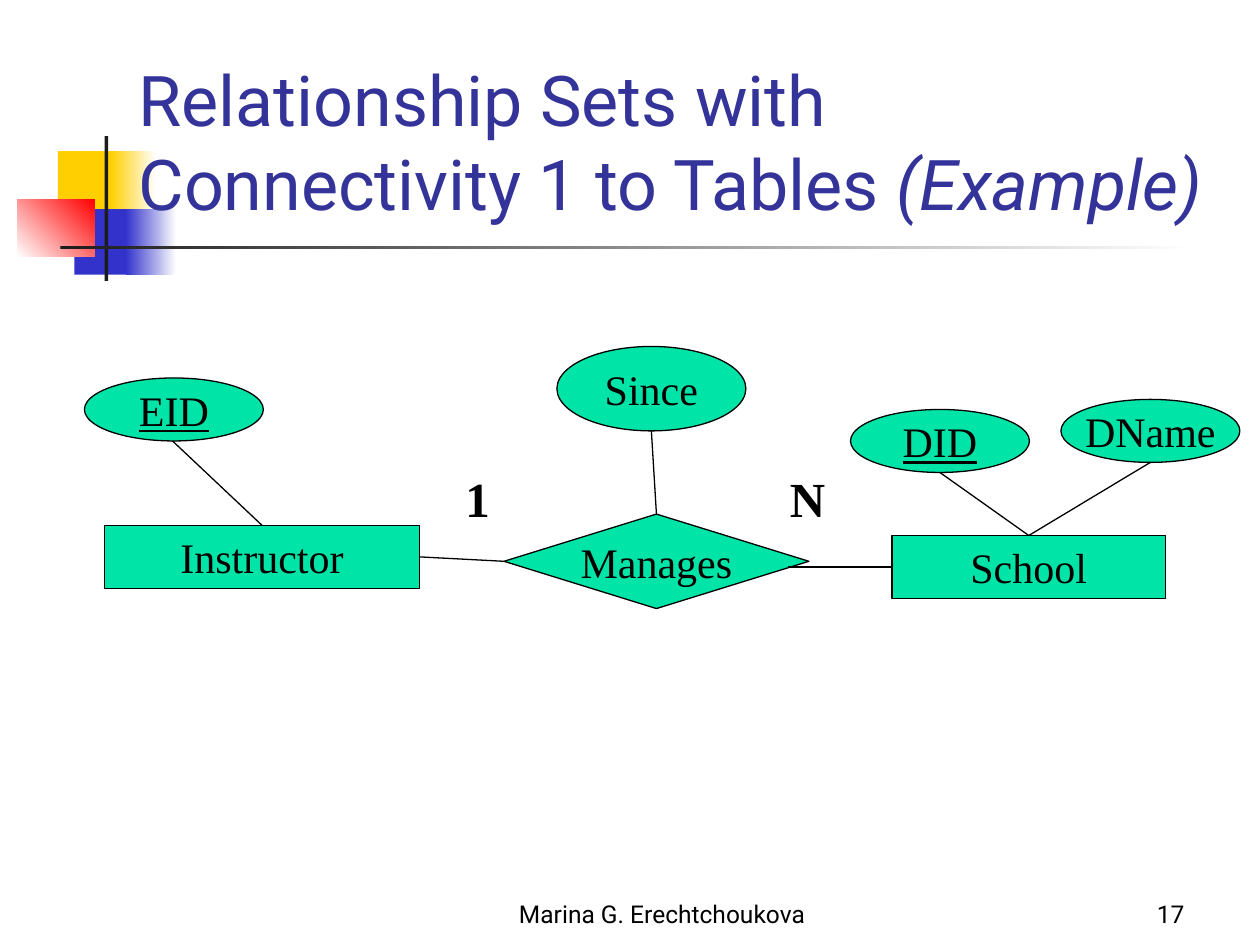
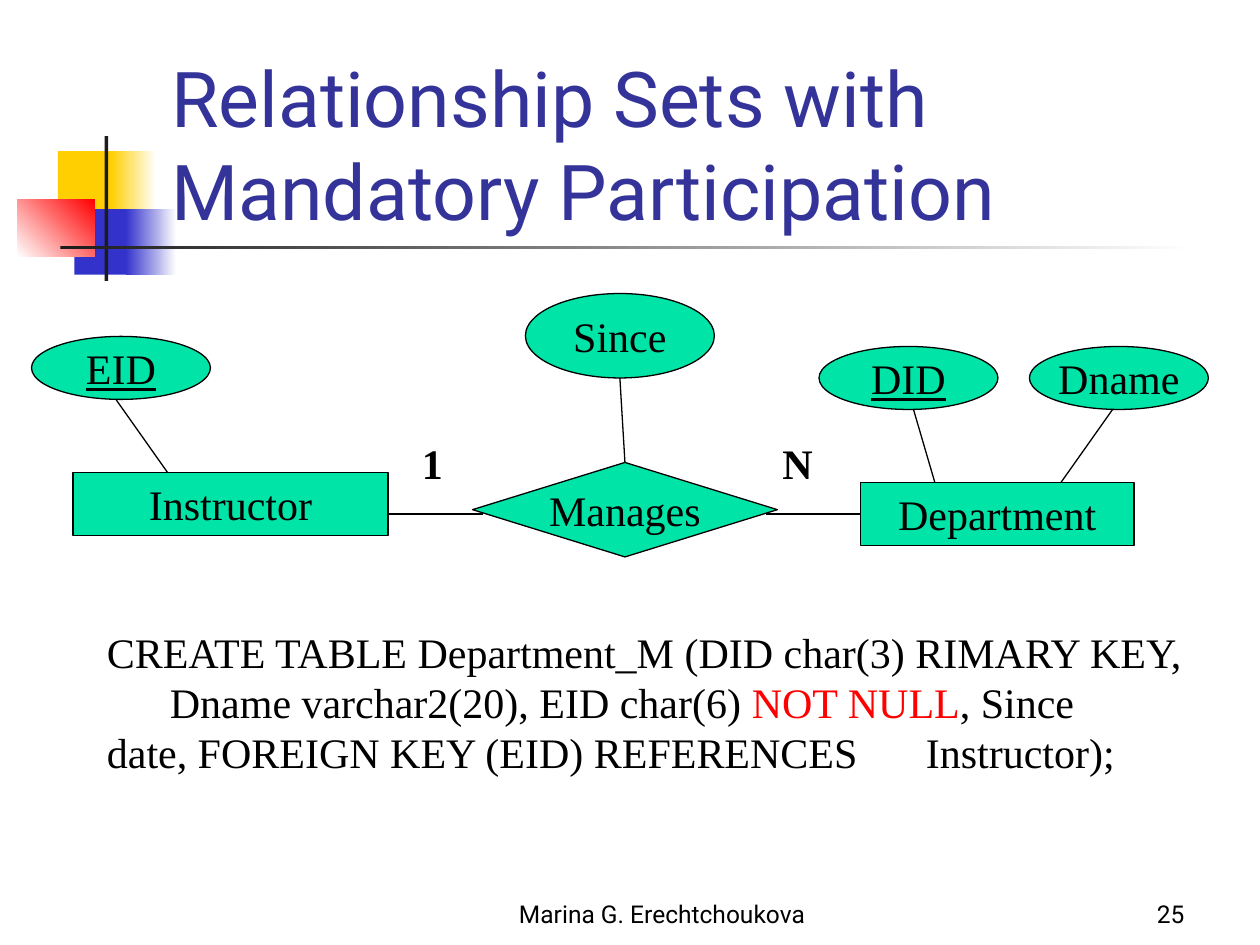
from lxml import etree
from pptx import Presentation
from pptx import util as u
from pptx.dml.color import RGBColor
from pptx.enum import shapes, text

WHITE = RGBColor(0xFF, 0xFF, 0xFF)
BLACK = RGBColor(0x00, 0x00, 0x00)
CHARCOAL = RGBColor(0x1C, 0x1C, 0x1C)
YELLOW = RGBColor(0xFF, 0xCF, 0x01)
BLUE = RGBColor(0x33, 0x33, 0xCC)
RED = RGBColor(0xFF, 0x00, 0x00)
TITLE_BLUE = RGBColor(0x33, 0x33, 0x99)
GREEN = RGBColor(0x00, 0xE4, 0xA8)
HEADING_FONT = "Roboto"
DIAGRAM_FONT = "Times New Roman"
EFFECT_LIST = "{http://schemas.openxmlformats.org/drawingml/2006/main}effectLst"

LEFT, CENTER, RIGHT = text.PP_ALIGN.LEFT, text.PP_ALIGN.CENTER, text.PP_ALIGN.RIGHT
TOP, MIDDLE, BOTTOM = text.MSO_ANCHOR.TOP, text.MSO_ANCHOR.MIDDLE, text.MSO_ANCHOR.BOTTOM
PRESET = shapes.MSO_SHAPE
ENTITY_HEIGHT = 0.5
NODE_KINDS = {
    "instructor": (PRESET.FLOWCHART_PROCESS, 2.5, ENTITY_HEIGHT),
    "unit": (PRESET.FLOWCHART_PROCESS, 2.17, ENTITY_HEIGHT),
    "relationship": (PRESET.FLOWCHART_DECISION, 2.42, 0.75),
    "since": (PRESET.FLOWCHART_CONNECTOR, 1.5, 0.67),
    "attribute": (PRESET.FLOWCHART_CONNECTOR, 1.42, 0.5),
    "key": (PRESET.FLOWCHART_CONNECTOR, 1.42, 0.5),
}
DECORATIONS = [
    ((0.46, 1.2, 0.48, 0.52), (YELLOW,), 0),
    ((0.88, 1.2, 0.36, 0.52), (YELLOW, WHITE), 0),
    ((0.59, 1.66, 0.46, 0.52), (BLUE,), 0),
    ((1, 1.66, 0.4, 0.52), (BLUE, WHITE), 0),
    ((0.14, 1.58, 0.61, 0.46), (WHITE, RED), 45),
    ((0.83, 1.08, 0.03, 1.15), (CHARCOAL,), 0),
    ((0.48, 1.95, 9, 0.03), (CHARCOAL, WHITE), 0),
]
SLIDES = [
    {
        "title": [("Relationship Sets with Connectivity 1 to Tables ", {}),
                  ("(Example)", {"italic": True})],
        "title_box": (1, 0.58, 8.75, 1.25),
        "title_size": 40,
        "number": "17",
        "nodes": [
            ("Instructor", "instructor", 0.83, 4.17),
            ("Manages", "relationship", 4, 4.08),
            ("School", "unit", 7.08, 4.25),
            ("Since", "since", 4.42, 2.75),
            ("EID", "key", 0.67, 3),
            ("DID", "key", 6.75, 3.25),
            ("DName", "attribute", 8.42, 3.17),
        ],
        "lines": [
            (("Instructor", 3), ("Manages", 1)),
            ((5.17, 3.42), ("Manages", 0)),
            (("School", 1), (6.25, 4.5)),
            ((1.37, 3.5), ("Instructor", 0)),
            ((7.46, 3.75), ("School", 0)),
            ((9.13, 3.67), ("School", 0)),
        ],
        "label_size": 28,
        "labels": [("1", (3.58, 3.67, 0.42, 0.57)), ("N", (6.17, 3.67, 0.42, 0.57))],
        "statement": [],
    },
    {
        "title": [("Relationship Sets with Mandatory Participation", {})],
        "title_box": (1.26, 0.67, 8.52, 1.25),
        "title_size": 44,
        "number": "25",
        "nodes": [
            ("Instructor", "instructor", 0.58, 3.75),
            ("Manages", "relationship", 3.75, 3.67),
            ("Department", "unit", 6.83, 3.83),
            ("Since", "since", 4.17, 2.33),
            ("EID", "key", 0.25, 2.67),
            ("Dname", "attribute", 8.17, 2.75),
            ("DID", "key", 6.5, 2.75),
        ],
        "lines": [
            ((4.92, 3), ("Manages", 0)),
            ((6.08, 4.08), ("Department", 1)),
            ((3.08, 4.08), (3.83, 4.08)),
            ((0.92, 3.17), (1.33, 3.75)),
            ((7.25, 3.25), (7.42, 3.83)),
            ((8.83, 3.25), (8.42, 3.83)),
        ],
        "label_size": 24,
        "labels": [("1", (3.25, 3.42, 0.33, 0.5)), ("N", (6.08, 3.42, 0.5, 0.5))],
        "statement": [
            ("CREATE TABLE Department_M (DID char(3) RIMARY KEY, \t"
             "Dname varchar2(20), EID char(6) ", {}),
            ("NOT NULL", {"color": RED}),
            (", Since \tdate, FOREIGN KEY (EID) REFERENCES \tInstructor);", {}),
        ],
    },
]


def write(shape, runs, font, size, align, anchor, color=BLACK, wrap=True):
    frame = shape.text_frame
    frame.word_wrap = wrap
    frame.auto_size = text.MSO_AUTO_SIZE.NONE
    frame.vertical_anchor = anchor
    paragraph = frame.paragraphs[0]
    paragraph.alignment = align
    for words, style in runs:
        run = paragraph.add_run()
        run.text = words
        run.font.name = font
        run.font.size = u.Pt(size)
        run.font.color.rgb = style.get("color", color)
        run.font.bold = style.get("bold", False)
        run.font.italic = style.get("italic", False)
        run.font.underline = style.get("underline", False)


def add_text(slide, box, *args):
    write(slide.shapes.add_textbox(*map(u.Inches, box)), *args)


presentation = Presentation()
presentation.slide_width = u.Inches(10)
presentation.slide_height = u.Inches(7.5)
layout = presentation.slide_layouts.get_by_name("Title Only")
slides = [presentation.slides.add_slide(layout) for _ in SLIDES]

for box, colors, angle in DECORATIONS:
    shape = slides[0].shapes.add_shape(PRESET.RECTANGLE, *map(u.Inches, box))
    shape.shadow.inherit = False
    shape.line.fill.background()
    if len(colors) == 1:
        shape.fill.solid()
        shape.fill.fore_color.rgb = colors[0]
    else:
        shape.fill.gradient()
        shape.fill.gradient_angle = angle
        for stop, color in zip(shape.fill.gradient_stops, colors):
            stop.color.rgb = color
    layout.shapes.element.append(shape.element)

for slide, content in zip(slides, SLIDES):
    title = slide.shapes.title
    title.left, title.top, title.width, title.height = map(u.Inches, content["title_box"])
    write(title, content["title"], HEADING_FONT, content["title_size"], LEFT, BOTTOM, TITLE_BLUE)
    add_text(slide, (3.67, 6.92, 3.17, 0.5), [("Marina G. Erechtchoukova", {})],
             HEADING_FONT, 14, CENTER, BOTTOM)
    add_text(slide, (7.42, 6.92, 2.08, 0.5), [(content["number"], {})],
             HEADING_FONT, 14, RIGHT, BOTTOM)

    nodes = {}
    for name, kind, left, top in content["nodes"]:
        preset, width, height = NODE_KINDS[kind]
        shape = slide.shapes.add_shape(preset, *map(u.Inches, (left, top, width, height)))
        shape.shadow.inherit = False
        shape.fill.solid()
        shape.fill.fore_color.rgb = GREEN
        shape.line.color.rgb = BLACK
        shape.line.width = u.Pt(0.75)
        write(shape, [(name, {"underline": kind == "key"})],
              DIAGRAM_FONT, 24, CENTER, MIDDLE, BLACK, False)
        nodes[name] = shape

    for start, end in content["lines"]:
        points = [(0, 0) if place[0] in nodes else place for place in (start, end)]
        connector = slide.shapes.add_connector(
            shapes.MSO_CONNECTOR.STRAIGHT, *map(u.Inches, points[0] + points[1]))
        if start[0] in nodes:
            connector.begin_connect(nodes[start[0]], start[1])
        if end[0] in nodes:
            connector.end_connect(nodes[end[0]], end[1])
        connector.line.color.rgb = BLACK
        connector.line.width = u.Pt(0.75)
        etree.SubElement(connector.element.spPr, EFFECT_LIST)

    for label, box in content["labels"]:
        add_text(slide, box, [(label, {"bold": True})],
                 DIAGRAM_FONT, content["label_size"], CENTER, TOP)
    if content["statement"]:
        add_text(slide, (0.75, 4.92, 8.75, 1.3), content["statement"],
                 DIAGRAM_FONT, 24, LEFT, TOP)

presentation.save("out.pptx")
